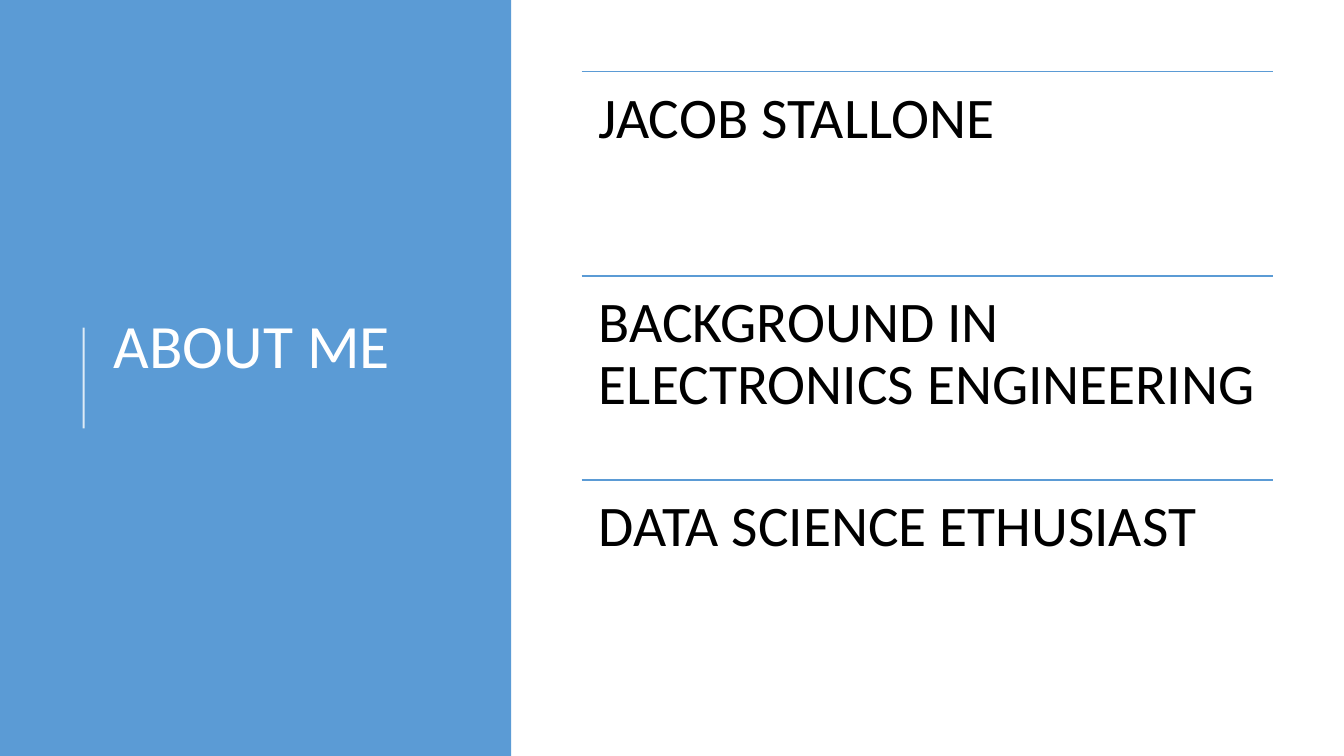
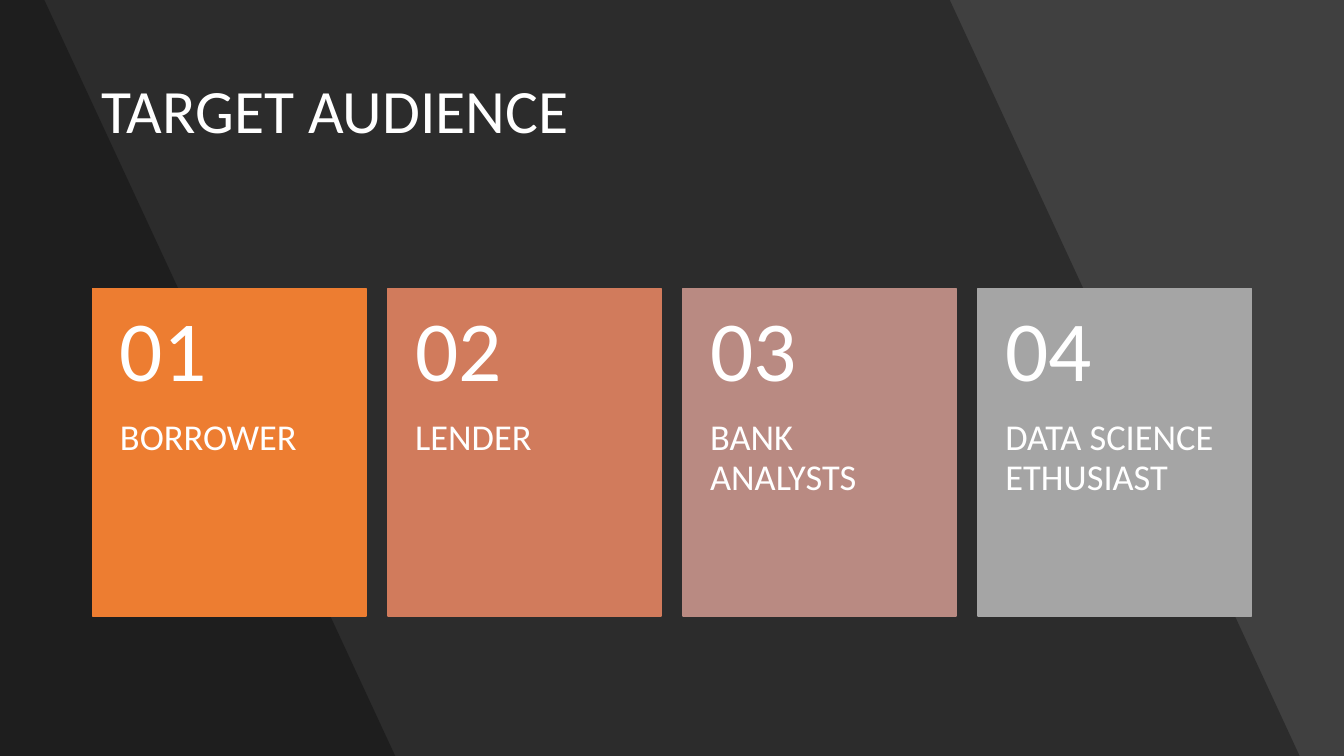
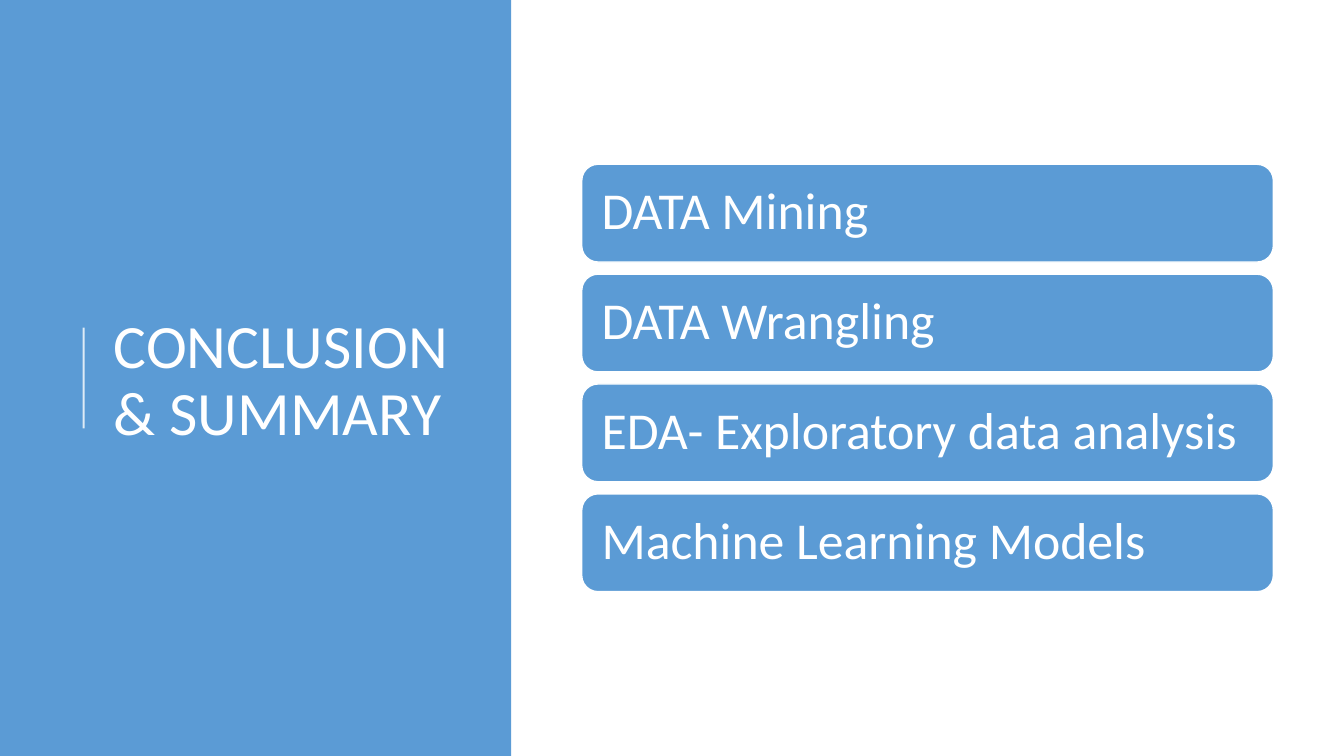
from dataclasses import dataclass

from lxml.etree import SubElement
from pptx import Presentation
from pptx.dml.color import RGBColor
from pptx.enum.shapes import MSO_CONNECTOR, MSO_SHAPE
from pptx.enum.text import MSO_ANCHOR, PP_ALIGN
from pptx.oxml.ns import qn
from pptx.util import Inches, Pt

FONT = "Calibri"
WHITE, BLACK, BLUE, CHARCOAL = "FFFFFF", "000000", "5B9BD5", "404040"
SLIDE_WIDTH, SLIDE_HEIGHT = 13.33, 7.5
TITLE_SIZE = 44
TITLE_LINE_HEIGHT = 0.67
CONTENT_LEFT, CONTENT_WIDTH = 5.77, 6.86


@dataclass(frozen=True)
class Box:
    left: float
    top: float
    width: float
    height: float

    def lengths(self):
        return [Inches(value) for value in (self.left, self.top, self.width, self.height)]


@dataclass(frozen=True)
class TextStyle:
    size: float
    color: str
    anchor: MSO_ANCHOR = MSO_ANCHOR.MIDDLE
    insets: tuple[float, float, float, float] = (0.1, 0.05, 0.1, 0.05)


@dataclass(frozen=True)
class Card:
    label: str
    color: str


TITLE = TextStyle(TITLE_SIZE, WHITE)
RAISED_TITLE = TextStyle(TITLE_SIZE, WHITE, insets=(0.1, 0.05, 0.1, 0.05 + TITLE_LINE_HEIGHT))
FACT = TextStyle(41, BLACK, MSO_ANCHOR.TOP, (0.17,) * 4)
CARD_NUMBER = TextStyle(61, WHITE, insets=(0.27, 0.18, 0.27, 0.18))
CARD_LABEL = TextStyle(26, WHITE, MSO_ANCHOR.TOP, (0.27, 0, 0.27, 0.36))
TOPIC = TextStyle(37, WHITE, insets=(0.15,) * 4)

FACTS = ["JACOB STALLONE", "BACKGROUND IN ELECTRONICS ENGINEERING", "DATA SCIENCE ETHUSIAST"]
CARDS = [
    Card("BORROWER", "ED7D31"),
    Card("LENDER", "D17B5C"),
    Card("BANK ANALYSTS", "B98A82"),
    Card("DATA SCIENCE ETHUSIAST", "A5A5A5"),
]
TOPICS = [
    "DATA Mining",
    "DATA Wrangling",
    "EDA- Exploratory data analysis",
    "Machine Learning Models",
]


def set_color(color_fill, color: str, opacity: int = 100) -> None:
    color_fill.solid()
    color_fill.fore_color.rgb = RGBColor.from_string(color)
    if opacity < 100:
        element = color_fill.fore_color._xFill.find(qn("a:srgbClr"))
        SubElement(element, qn("a:alpha"), val=str(opacity * 1000))


def add_slide(presentation, background: str):
    slide = presentation.slides.add_slide(presentation.slide_layouts[6])
    set_color(slide.background.fill, background)
    return slide


def write_text(shape, text: str, style: TextStyle) -> None:
    frame = shape.text_frame
    frame.word_wrap = True
    frame.vertical_anchor = style.anchor
    left, top, right, bottom = [Inches(inset) for inset in style.insets]
    frame.margin_left, frame.margin_top = left, top
    frame.margin_right, frame.margin_bottom = right, bottom
    paragraph = frame.paragraphs[0]
    paragraph.text = text
    paragraph.alignment = PP_ALIGN.LEFT
    paragraph.line_spacing = 0.9
    paragraph.font.name = FONT
    paragraph.font.size = Pt(style.size)
    set_color(paragraph.font.fill, style.color)


def add_text(slide, box: Box, text: str, style: TextStyle) -> None:
    write_text(slide.shapes.add_textbox(*box.lengths()), text, style)


def add_block(slide, kind: MSO_SHAPE, box: Box, color: str, outline: str | None = None):
    shape = slide.shapes.add_shape(kind, *box.lengths())
    shape.shadow.inherit = False
    set_color(shape.fill, color)
    if outline:
        set_color(shape.line.fill, outline)
        shape.line.width = Pt(1)
    else:
        shape.line.fill.background()
    return shape


def add_line(slide, start: tuple[float, float], end: tuple[float, float],
             color: str, width: float, opacity: int = 100) -> None:
    points = [Inches(value) for value in (*start, *end)]
    connector = slide.shapes.add_connector(MSO_CONNECTOR.STRAIGHT, *points)
    set_color(connector.line.fill, color, opacity)
    connector.line.width = Pt(width)
    SubElement(connector._element.spPr, qn("a:effectLst"))


def add_slanted_shade(slide, top_width: float, bottom_width: float) -> None:
    builder = slide.shapes.build_freeform(0, 0)
    corners = [(top_width, 0), (bottom_width, SLIDE_HEIGHT), (0, SLIDE_HEIGHT)]
    builder.add_line_segments([(Inches(x), Inches(y)) for x, y in corners], close=True)
    shade = builder.convert_to_shape()
    shade.shadow.inherit = False
    set_color(shade.fill, BLACK, 30)
    shade.line.fill.background()


def add_side_title_slide(presentation, title: str, style: TextStyle):
    slide = add_slide(presentation, WHITE)
    add_block(slide, MSO_SHAPE.RECTANGLE, Box(0, 0, 5.07, SLIDE_HEIGHT), BLUE)
    add_line(slide, (0.83, 4.25), (0.83, 3.25), WHITE, 1.5, 80)
    add_text(slide, Box(1.03, 0.78, 3.69, 6.02), title, style)
    return slide


def build_about(presentation) -> None:
    slide = add_side_title_slide(presentation, "ABOUT ME", RAISED_TITLE)
    margin = 0.71
    height = (SLIDE_HEIGHT - 2 * margin) / len(FACTS)
    for index, fact in enumerate(FACTS):
        top = margin + index * height
        add_line(slide, (CONTENT_LEFT, top), (CONTENT_LEFT + CONTENT_WIDTH, top), BLUE, 1)
        add_text(slide, Box(CONTENT_LEFT, top, CONTENT_WIDTH, height), fact, FACT)


def build_audience(presentation) -> None:
    slide = add_slide(presentation, CHARCOAL)
    add_slanted_shade(slide, 9.42, 12.89)
    add_slanted_shade(slide, 0.44, 3.92)
    add_text(slide, Box(0.91, 0.4, 11.51, 1.45), "TARGET AUDIENCE", TITLE)
    top, width, height = 2.86, 2.71, 3.25
    number_height = 0.4 * height
    for index, card in enumerate(CARDS):
        left = 0.92 + index * 1.08 * width
        add_block(slide, MSO_SHAPE.RECTANGLE, Box(left, top, width, height), card.color, card.color)
        add_text(slide, Box(left, top + number_height, width, height - number_height),
                 card.label, CARD_LABEL)
        add_text(slide, Box(left, top, width, number_height), f"{index + 1:02}", CARD_NUMBER)


def build_conclusion(presentation) -> None:
    slide = add_side_title_slide(presentation, "CONCLUSION & SUMMARY", TITLE)
    for index, topic in enumerate(TOPICS):
        box = Box(CONTENT_LEFT, 1.63 + index * 1.09, CONTENT_WIDTH, 0.97)
        write_text(add_block(slide, MSO_SHAPE.ROUNDED_RECTANGLE, box, BLUE, WHITE), topic, TOPIC)


def main() -> None:
    presentation = Presentation()
    presentation.slide_width = Inches(SLIDE_WIDTH)
    presentation.slide_height = Inches(SLIDE_HEIGHT)
    build_about(presentation)
    build_audience(presentation)
    build_conclusion(presentation)
    presentation.save("out.pptx")


if __name__ == "__main__":
    main()
